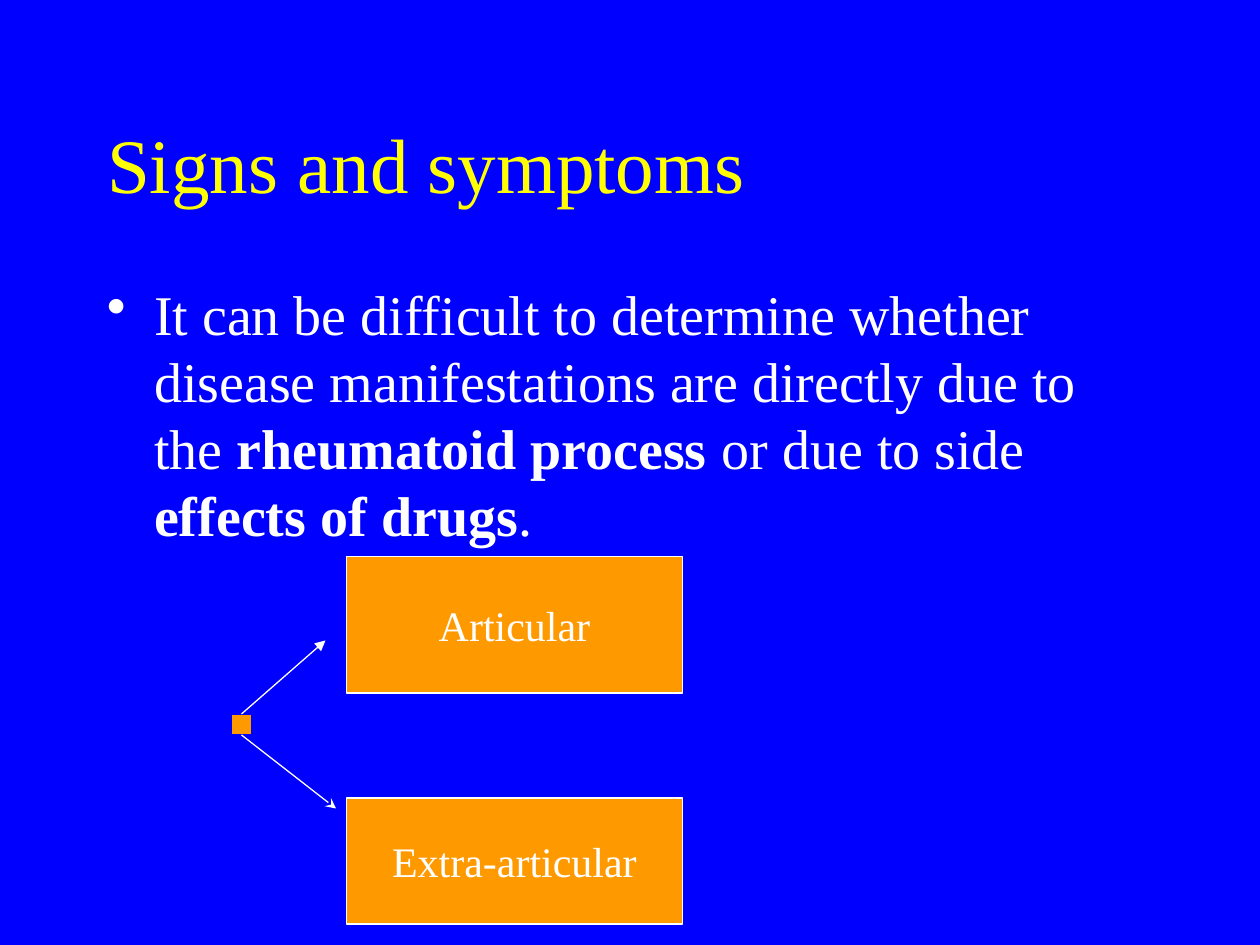
from dataclasses import dataclass

from lxml import etree
from pptx import Presentation
from pptx.dml.color import RGBColor
from pptx.enum.shapes import MSO_CONNECTOR, MSO_SHAPE
from pptx.enum.text import MSO_ANCHOR, MSO_AUTO_SIZE, PP_ALIGN
from pptx.oxml.ns import qn
from pptx.util import Pt

RECTANGLE = MSO_SHAPE.RECTANGLE
STRAIGHT = MSO_CONNECTOR.STRAIGHT
MIDDLE = MSO_ANCHOR.MIDDLE
LEFT, CENTER = PP_ALIGN.LEFT, PP_ALIGN.CENTER
TOP_SIDE, BOTTOM_SIDE = 0, 2
TITLE_ONLY = 5


@dataclass(frozen=True)
class Theme:
    font: str = "Times New Roman"
    background: RGBColor = RGBColor(0x00, 0x00, 0xFF)
    title: RGBColor = RGBColor(0xFF, 0xFF, 0x00)
    text: RGBColor = RGBColor(0xFF, 0xFF, 0xFF)
    accent: RGBColor = RGBColor(0xFF, 0x99, 0x00)
    title_size: int = 44
    body_size: int = 32
    label_size: int = 24
    line_width: float = 0.75
    bullet_indent: int = 27


class SlideBuilder:
    def __init__(self, slide, theme):
        self.slide = slide
        self.theme = theme
        fill = slide.background.fill
        fill.solid()
        fill.fore_color.rgb = theme.background

    def set_font(self, paragraph, size, color):
        font = paragraph.font
        font.name = self.theme.font
        font.size = Pt(size)
        font.color.rgb = color

    def title(self, text, left, top, width, height):
        title = self.slide.shapes.title
        title.left, title.top = Pt(left), Pt(top)
        title.width, title.height = Pt(width), Pt(height)
        frame = title.text_frame
        frame.text = text
        frame.vertical_anchor = MIDDLE
        frame.auto_size = MSO_AUTO_SIZE.NONE
        paragraph = frame.paragraphs[0]
        paragraph.alignment = LEFT
        self.set_font(paragraph, self.theme.title_size, self.theme.title)

    def bullet(self, runs, left, top, width, height):
        """Add one bulleted paragraph from (text, bold) pairs."""
        box = self.slide.shapes.add_textbox(Pt(left), Pt(top), Pt(width), Pt(height))
        box.text_frame.word_wrap = True
        paragraph = box.text_frame.paragraphs[0]
        properties = paragraph._p.get_or_add_pPr()
        indent = Pt(self.theme.bullet_indent)
        properties.set("marL", str(indent))
        properties.set("indent", str(-indent))
        etree.SubElement(properties, qn("a:buChar")).set("char", "•")
        self.set_font(paragraph, self.theme.body_size, self.theme.text)
        for text, bold in runs:
            run = paragraph.add_run()
            run.text = text
            run.font.bold = bold

    def rectangle(self, left, top, width, height, line_color, label=""):
        shape = self.slide.shapes.add_shape(
            RECTANGLE, Pt(left), Pt(top), Pt(width), Pt(height))
        shape.shadow.inherit = False
        shape.fill.solid()
        shape.fill.fore_color.rgb = self.theme.accent
        shape.line.color.rgb = line_color
        shape.line.width = Pt(self.theme.line_width)
        if label:
            frame = shape.text_frame
            frame.text = label
            frame.word_wrap = False
            frame.vertical_anchor = MIDDLE
            paragraph = frame.paragraphs[0]
            paragraph.alignment = CENTER
            self.set_font(paragraph, self.theme.label_size, self.theme.text)
        return shape

    def arrow(self, start_shape, side, end_x, end_y, head):
        connector = self.slide.shapes.add_connector(
            STRAIGHT, 0, 0, Pt(end_x), Pt(end_y))
        connector.begin_connect(start_shape, side)
        connector.line.color.rgb = self.theme.text
        connector.line.width = Pt(self.theme.line_width)
        line = connector.line._get_or_add_ln()
        etree.SubElement(line, qn("a:tailEnd")).set("type", head)
        etree.SubElement(connector._element.spPr, qn("a:effectLst"))


def main():
    presentation = Presentation()
    presentation.slide_width, presentation.slide_height = Pt(720), Pt(540)
    theme = Theme()
    slide = presentation.slides.add_slide(presentation.slide_layouts[TITLE_ONLY])
    builder = SlideBuilder(slide, theme)

    margin, content_width = 54, 612
    builder.title("Signs and symptoms", margin, 48, content_width, 90)
    builder.bullet(
        [("It can be difficult to determine whether disease manifestations "
          "are directly due to the ", False),
         ("rheumatoid process", True),
         (" or due to side ", False),
         ("effects of drugs", True),
         (".", False)],
        margin, 156, content_width, 324)

    origin = builder.rectangle(132, 408, 12, 12, theme.background)
    builder.arrow(origin, BOTTOM_SIDE, 192, 462, "stealth")
    builder.arrow(origin, TOP_SIDE, 186, 366, "triangle")

    for label, top, height in (("Articular", 318, 78), ("Extra-articular", 456, 72)):
        builder.rectangle(198, top, 192, height, theme.text, label)

    presentation.save("out.pptx")


if __name__ == "__main__":
    main()
